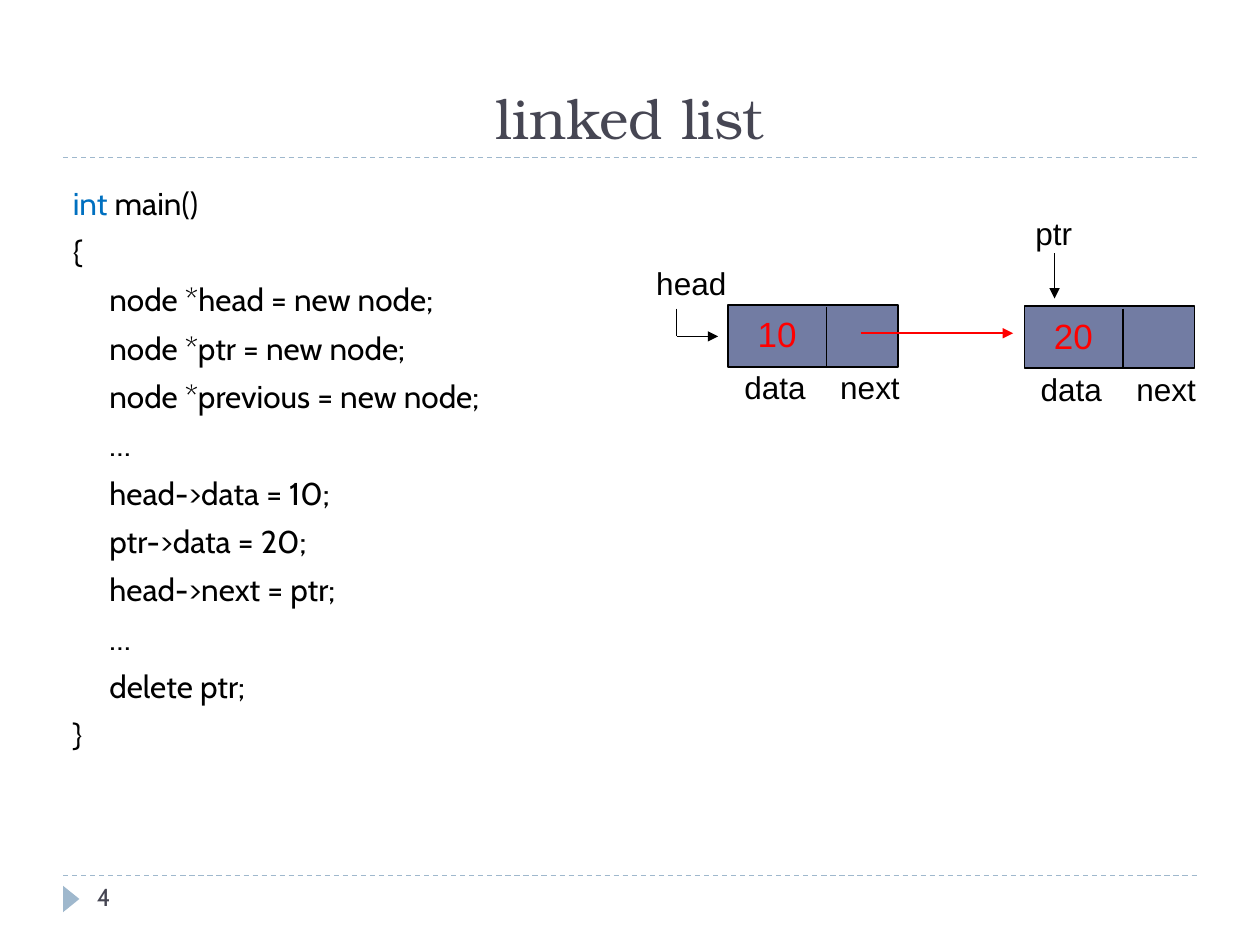
from collections import namedtuple

from lxml import etree
from pptx import Presentation
from pptx.dml.color import RGBColor
from pptx.enum.dml import MSO_LINE_DASH_STYLE as Dash
from pptx.enum.shapes import MSO_CONNECTOR as Link, MSO_SHAPE as Shape
from pptx.enum.text import MSO_ANCHOR as Anchor, PP_ALIGN as Align
from pptx.oxml.ns import qn
from pptx.util import Inches, Pt

# Grid of 100 columns by 75 rows on a 10 by 7.5 inch slide
COLUMNS, ROWS = 100, 75
WIDTH, HEIGHT = Inches(10), Inches(7.5)

INK, SLATE, RULE = "000000", "464653", "9FB8CD"
NODE, RED, KEYWORD = "727CA3", "FF0000", "0070C0"
SERIF, SANS, PLAIN = "TeX Gyre Bonum", "Cabin", "Arial"

CODE = [
    (0, [("int", KEYWORD), (" main()", INK)]),
    (0, [("{", INK)]),
    (1, [("node *head = new node;", INK)]),
    (1, [("node *ptr = new node;", INK)]),
    (1, [("node *previous = new node;", INK)]),
    (1, [("…", INK)]),
    (1, [("head->data = 10;", INK)]),
    (1, [("ptr->data = 20;", INK)]),
    (1, [("head->next = ptr;", INK)]),
    (1, [("…", INK)]),
    (1, [("delete ptr;", INK)]),
    (0, [("}", INK)]),
]

Box = namedtuple("Box", "left top width height")


def col(count):
    return round(WIDTH * count / COLUMNS)


def row(count):
    return round(HEIGHT * count / ROWS)


def color(value):
    return RGBColor.from_string(value)


def place(shape, box):
    shape.left, shape.top = col(box.left), row(box.top)
    shape.width, shape.height = col(box.width), row(box.height)


def write(para, text, size=18, font=PLAIN, fill=INK):
    span = para.add_run()
    span.text = text
    span.font.size, span.font.name = Pt(size), font
    span.font.color.rgb = color(fill)


def add_box(page, box, wrap=False):
    shape = page.shapes.add_textbox(0, 0, 0, 0)
    place(shape, box)
    shape.text_frame.word_wrap = wrap
    return shape.text_frame


def label(page, box, text, **style):
    write(add_box(page, box).paragraphs[0], text, **style)


def solid(page, kind, box, fill, line=None):
    shape = page.shapes.add_shape(kind, 0, 0, 0, 0)
    place(shape, box)
    shape.shadow.inherit = False
    shape.fill.solid()
    shape.fill.fore_color.rgb = color(fill)
    if line:
        shape.line.color.rgb = color(line)
        shape.line.width = Pt(1)
    else:
        shape.line.fill.background()
    return shape


def stroke(page, x1, y1, x2, y2, fill=INK, width=1, dash=None, arrow=False):
    link = page.shapes.add_connector(Link.STRAIGHT, col(x1), row(y1), col(x2), row(y2))
    link.line.color.rgb = color(fill)
    link.line.width = Pt(width)
    if dash:
        link.line.dash_style = dash
    properties = link._element.spPr
    if arrow:
        etree.SubElement(properties.find(qn("a:ln")), qn("a:tailEnd"), type="triangle")
    etree.SubElement(properties, qn("a:effectLst"))


def rule(page, left, top, width):
    stroke(page, left, top, left + width, top, RULE, 0.75, Dash.DASH)


def heading(page, box):
    rule(page, box.left, box.top + box.height, box.width)
    title = page.shapes.title
    place(title, box)
    frame = title.text_frame
    frame.vertical_anchor = Anchor.BOTTOM
    para = frame.paragraphs[0]
    para.alignment = Align.CENTER
    write(para, "linked list", size=32, font=SERIF, fill=SLATE)


def footer(page, box):
    rule(page, box.left, box.top, box.width)
    marker = solid(page, Shape.ISOSCELES_TRIANGLE,
                   Box(box.left - 0.4, box.top + 1.2, 2.1, 1.3), RULE)
    marker.rotation = 90
    label(page, Box(box.left + 1.7, box.top, 21.7, box.height), "4",
          size=14, font=SANS, fill=SLATE)


def code_listing(page, box):
    frame = add_box(page, box, wrap=True)
    for index, (level, spans) in enumerate(CODE):
        para = frame.add_paragraph() if index else frame.paragraphs[0]
        para.space_before = Pt(6)
        # Inner lines start at the margin, outer ones hang to its left
        margins = para._p.get_or_add_pPr()
        margins.set("marL", str(col(3)))
        margins.set("indent", str(0 if level else -col(2.9)))
        for text, fill in spans:
            write(para, text, font=SANS, fill=fill)


def list_node(page, box, value):
    left, top, width, height = box
    divider = left + 7.8
    solid(page, Shape.RECTANGLE, box, NODE, INK)
    stroke(page, divider, top + 0.2, divider, top + height)
    for shift, name in ((0.3, "data"), (7.9, "next")):
        label(page, Box(left + shift, top + height - 0.35, 7.5, 4), name)
    label(page, Box(left + 1.35, top + 0.15, 5.5, 4.4), value, size=20, fill=RED)


def head_pointer(page, box):
    left, top, width, height = box
    bend, bottom = left + 2.6, top + height
    label(page, Box(left, top, 8.5, 4), "head")
    stroke(page, bend, top + 4, bend, bottom)
    stroke(page, bend, bottom, left + width, bottom, arrow=True)


def ptr_pointer(page, box):
    left, top, width, height = box
    stem = left + 2.5
    label(page, Box(left, top, width, 4), "ptr")
    stroke(page, stem, top + 3.6, stem, top + height, arrow=True)


def diagram(page, box):
    left, top = box.left, box.top
    first = Box(left + 6.7, top + 7.7, 13.5, 4.9)
    second = first._replace(left=first.left + 23.5, top=first.top + 0.1)
    list_node(page, first, "10")
    list_node(page, second, "20")
    head_pointer(page, Box(left, top + 4, 5.9, 6.2))
    ptr_pointer(page, Box(second.left - 0.1, top, 5.6, 7.2))
    # Link from the first node to the second
    middle = first.top + 2.25
    stroke(page, first.left + 10.5, middle, second.left - 0.9, middle, RED, arrow=True)


def main():
    deck = Presentation()
    deck.slide_width, deck.slide_height = WIDTH, HEIGHT
    page = deck.slides.add_slide(deck.slide_layouts[5])
    footer(page, Box(5, 69.5, 90, 4))
    heading(page, Box(5, 1.7, 90, 10.8))
    code_listing(page, Box(4.7, 14.1, 90, 54))
    diagram(page, Box(51.1, 16.5, 44.8, 16.4))
    deck.save("out.pptx")


if __name__ == "__main__":
    main()
